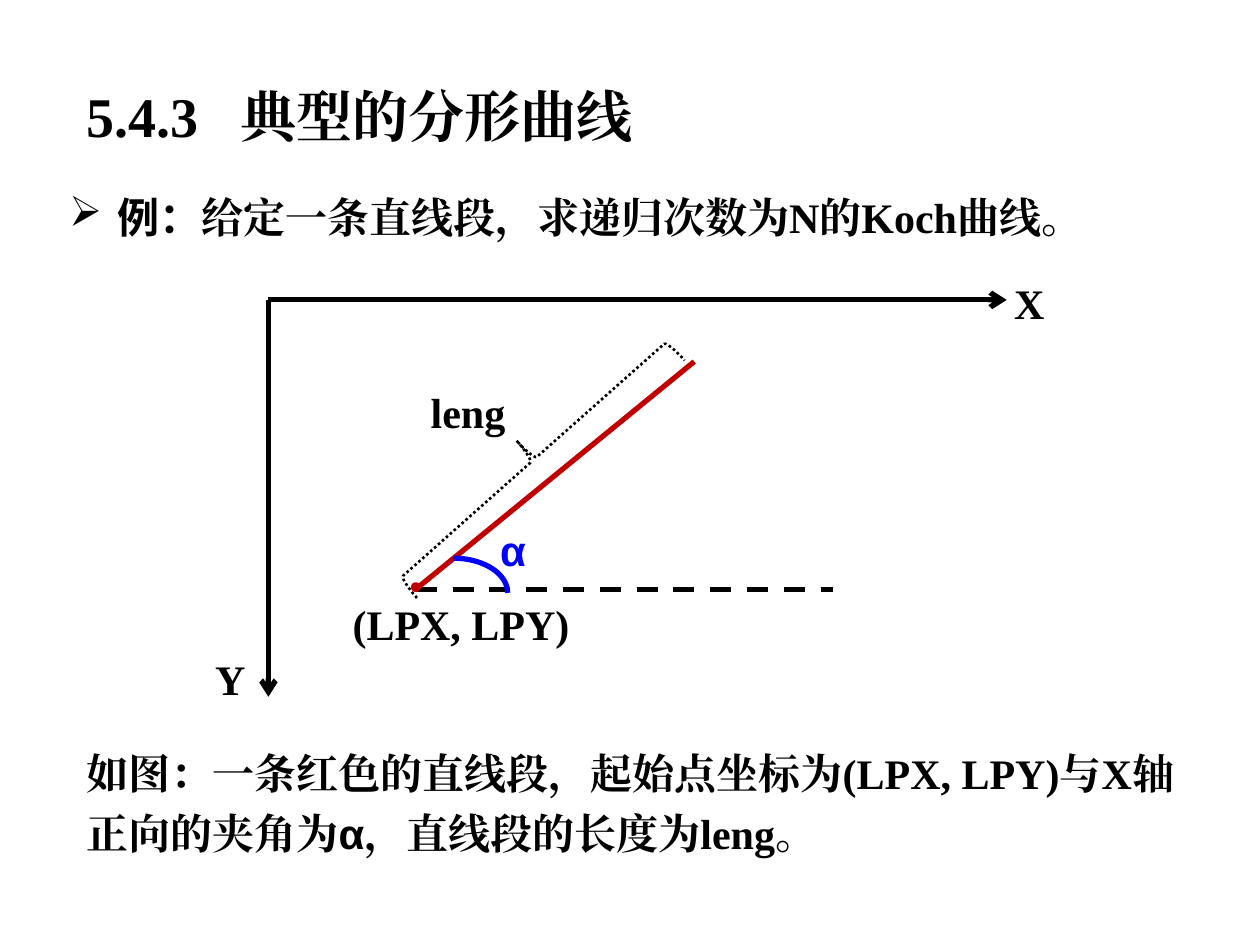
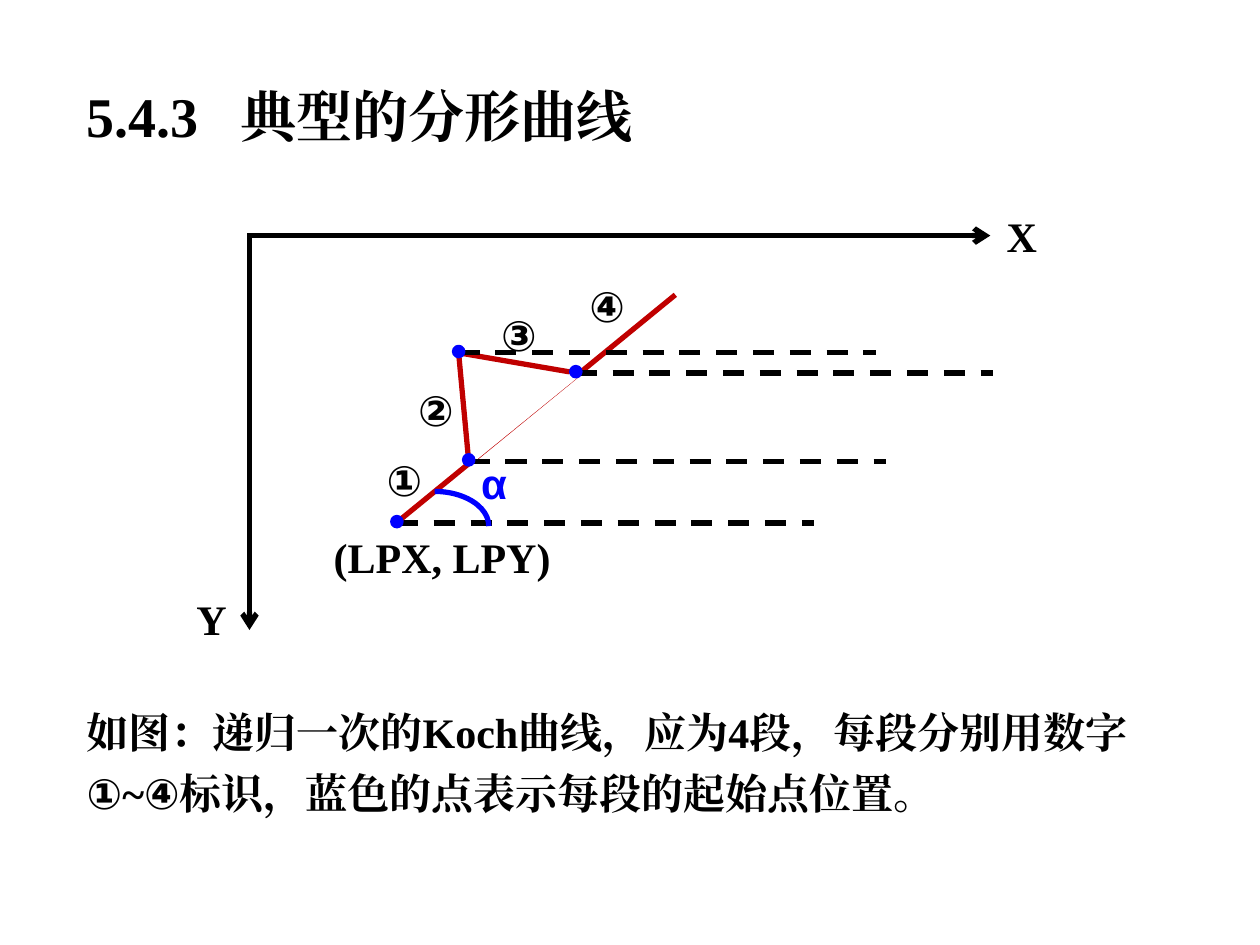
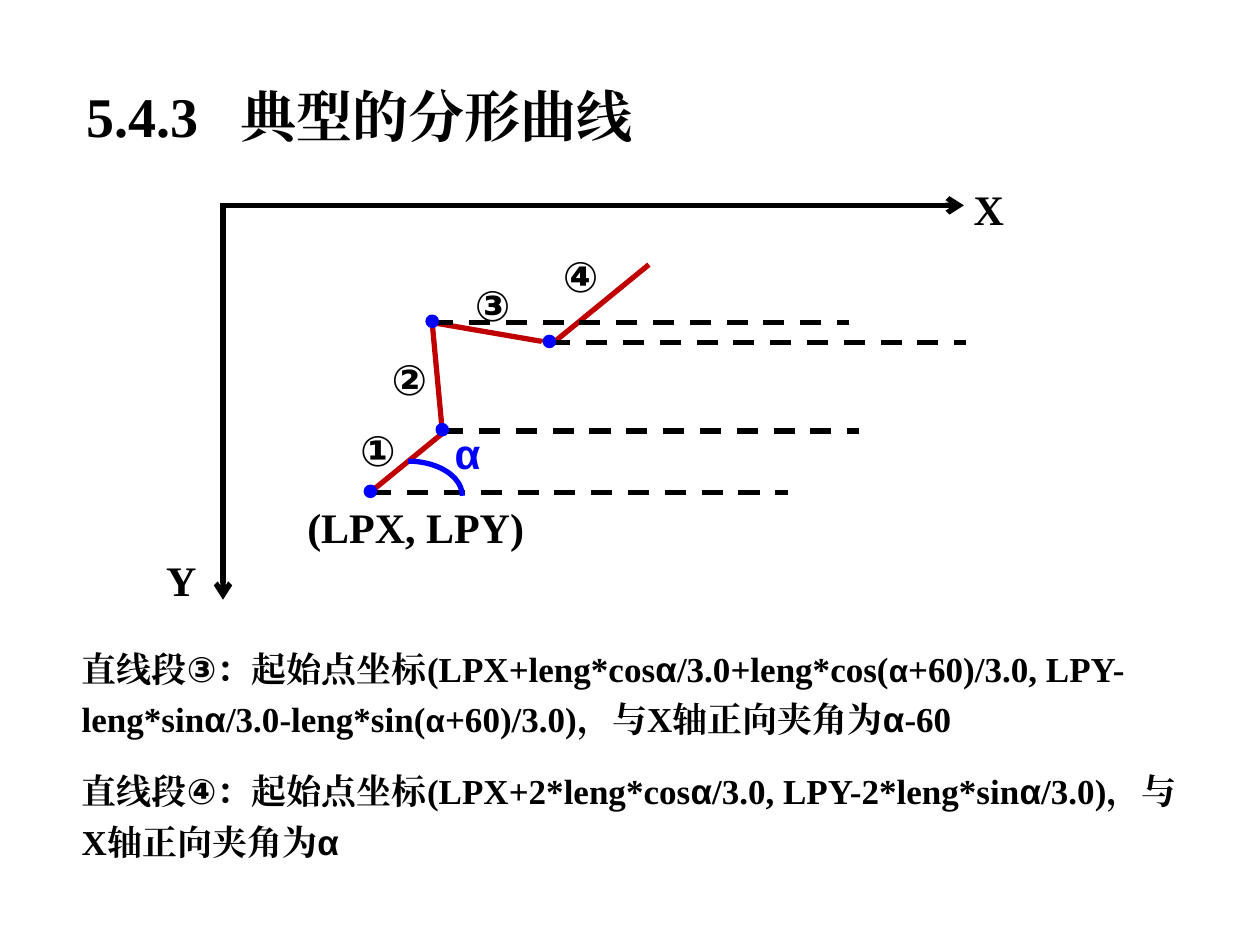
from dataclasses import dataclass

from lxml import etree
from pptx import Presentation
from pptx.dml.color import RGBColor
from pptx.enum.dml import MSO_LINE
from pptx.enum.shapes import MSO_CONNECTOR, MSO_SHAPE
from pptx.oxml.ns import qn
from pptx.util import Inches, Pt

STRAIGHT = MSO_CONNECTOR.STRAIGHT
ARC, BRACE, OVAL = MSO_SHAPE.ARC, MSO_SHAPE.LEFT_BRACE, MSO_SHAPE.OVAL
DASH, DOTTED = MSO_LINE.DASH, MSO_LINE.ROUND_DOT


@dataclass(frozen=True)
class Theme:
    ink: RGBColor = RGBColor(0, 0, 0)
    red: RGBColor = RGBColor(0xC0, 0, 0)
    blue: RGBColor = RGBColor(0, 0, 0xFF)
    paper: RGBColor = RGBColor(0xFF, 0xFF, 0xFF)
    serif: str = "Times New Roman"
    greek: str = "Arial"
    symbol: str = "DejaVu Sans"
    title_size: int = 32
    body_size: int = 24
    formula_size: int = 20
    small_size: int = 18
    stroke: float = 3


THEME = Theme()
FONT_OF = {"α": THEME.greek, **dict.fromkeys("①②③④", THEME.symbol)}

# Offsets in inches from the start point (LPX, LPY)
AXIS_CORNER = (-1.17, -2.3)
X_AXIS_LENGTH, Y_AXIS_LENGTH, GUIDE_LENGTH = 5.86, 3.15, 3.31
LINE_START, LINE_END = (0.02, -0.02), (2.21, -1.81)
KOCH_JOINTS = [(0, 0), (0.57, -0.49), (0.49, -1.35), (1.42, -1.19)]
SEGMENT_LABELS = {
    "①": (-0.18, -0.59),
    "②": (0.07, -1.15),
    "③": (0.73, -1.74),
    "④": (1.43, -1.97),
}


def shift(point, offset):
    return point[0] + offset[0], point[1] + offset[1]


def split_by_font(text):
    """Split text so that each Greek letter or circled number stands alone."""
    pieces = []
    for char in text:
        if pieces and char not in FONT_OF and pieces[-1] not in FONT_OF:
            pieces[-1] += char
        else:
            pieces.append(char)
    return pieces


def add_run(paragraph, text, size, color=THEME.ink, font=None):
    run = paragraph.add_run()
    run.text = text
    face = font or FONT_OF.get(text, THEME.serif)
    values = {"size": Pt(size), "bold": True, "name": face}
    for name, value in values.items():
        setattr(run.font, name, value)
    run.font.color.rgb = color
    east_asian = etree.SubElement(run.font._element, qn("a:ea"))
    east_asian.set("typeface", face)


def add_text_frame(slide, at, wrap=True):
    frame = slide.shapes.add_textbox(*map(Inches, at)).text_frame
    frame.word_wrap = wrap
    return frame


def add_title(slide):
    paragraph = add_text_frame(slide, (0.59, 0.6, 8.74, 0.64)).paragraphs[0]
    tabs = etree.SubElement(paragraph._p.get_or_add_pPr(), qn("a:tabLst"))
    etree.SubElement(tabs, qn("a:tab"), pos=str(Inches(1.22)), algn="l")
    add_run(paragraph, "5.4.3\t典型的分形曲线", THEME.title_size)


def add_task(slide):
    paragraph = add_text_frame(slide, (0.45, 1.47, 8.53, 0.5)).paragraphs[0]
    properties = paragraph._p.get_or_add_pPr()
    properties.set("marL", str(Inches(0.25)))
    properties.set("indent", str(-Inches(0.25)))
    etree.SubElement(properties, qn("a:buChar"), char="➢")
    add_run(paragraph, " 例：", THEME.body_size, font=THEME.symbol)
    add_run(paragraph, "给定一条直线段，求递归次数为N的Koch曲线。", THEME.body_size)


def add_explanation(slide, at, texts, size=THEME.body_size):
    """Write paragraphs, with a smaller α directly inside a bracket."""
    frame = add_text_frame(slide, at)
    for index, text in enumerate(texts):
        paragraph = frame.add_paragraph() if index else frame.paragraphs[0]
        paragraph.line_spacing = 1.2
        paragraph.space_before = Pt(12.5 if index else 0)
        previous = ""
        for piece in split_by_font(text):
            small = piece == "α" and previous.endswith("(")
            add_run(paragraph, piece, THEME.small_size if small else size)
            previous = piece


def add_label(slide, position, width, text, color=THEME.ink):
    frame = add_text_frame(slide, (*position, width, 0.5), wrap=False)
    add_run(frame.paragraphs[0], text, THEME.body_size, color)


def add_line(slide, start, end, color=THEME.ink, width=THEME.stroke,
             dash=None, arrow=False):
    connector = slide.shapes.add_connector(STRAIGHT, *map(Inches, (*start, *end)))
    connector.line.color.rgb = color
    for name, value in {"width": Pt(width), "dash_style": dash}.items():
        setattr(connector.line, name, value)
    if arrow:
        outline = connector.line._get_or_add_ln()
        etree.SubElement(outline, qn("a:tailEnd"), type="arrow")
    etree.SubElement(connector._element.spPr, qn("a:effectLst"))


def add_figure(slide, kind, at, color, width, filled=False):
    figure = slide.shapes.add_shape(kind, *map(Inches, at))
    figure.shadow.inherit = False
    if filled:
        figure.fill.solid()
        figure.fill.fore_color.rgb = color
    else:
        figure.fill.background()
    figure.line.color.rgb = color
    figure.line.width = Pt(width)
    return figure


def add_dot(slide, center, size, color):
    corner = shift(center, (-size / 2, -size / 2))
    add_figure(slide, OVAL, (*corner, size, size), color, 2, filled=True)


def add_guide(slide, start):
    add_line(slide, start, shift(start, (GUIDE_LENGTH, 0)), dash=DASH)


def add_axes(slide, start, x_label, y_label, x_gap=0):
    corner = shift(start, AXIS_CORNER)
    x_start = shift(corner, (x_gap, x_gap))
    add_line(slide, x_start, shift(x_start, (X_AXIS_LENGTH, 0)), arrow=True)
    add_line(slide, corner, shift(corner, (0, Y_AXIS_LENGTH)), arrow=True)
    add_label(slide, x_label, 0.44, "X")
    add_label(slide, y_label, 0.44, "Y")


def add_angled_line(slide, start):
    """Draw the red line, its start label and its angle to the X direction."""
    add_guide(slide, start)
    add_line(slide, shift(start, LINE_START), shift(start, LINE_END), THEME.red)
    add_label(slide, shift(start, (-0.6, 0.02)), 1.92, "(LPX, LPY)")
    arc_corner = shift(start, (-0.13, -0.25))
    add_figure(slide, ARC, (*arc_corner, 0.86, 0.55), THEME.blue, THEME.stroke)
    add_label(slide, shift(start, (0.57, -0.57)), 0.41, "α", THEME.blue)


def add_koch_curve(slide, start, gap_width):
    """Replace the middle third of the red line by two sides of a triangle."""
    add_angled_line(slide, start)
    joints = [shift(start, joint) for joint in KOCH_JOINTS]
    _, foot, peak, landing = joints
    add_line(slide, foot, peak, THEME.red)
    add_line(slide, peak, landing, THEME.red)
    add_line(slide, foot, shift(landing, (0.01, 0)), THEME.paper, gap_width)
    for number, offset in SEGMENT_LABELS.items():
        add_label(slide, shift(start, offset), 0.53, number)
    for joint in joints[1:]:
        add_guide(slide, joint)
    for joint in joints:
        add_dot(slide, shift(joint, (0, -0.01)), 0.08, THEME.blue)


def build_line_slide(slide):
    start = (3.3, 4.68)
    add_task(slide)
    add_angled_line(slide, start)
    add_dot(slide, shift(start, (0, -0.02)), 0.05, THEME.red)
    add_axes(slide, start, (7.95, 2.15), (1.61, 5.14))
    brace = add_figure(slide, BRACE, (4.03, 2.23, 0.41, 2.84), THEME.ink, 1.5)
    brace.rotation = 48.4
    brace.line.dash_style = DOTTED
    add_label(slide, (3.32, 3.02), 0.79, "leng")
    add_explanation(slide, (0.59, 5.8, 8.9, 1.06), [
        "如图：一条红色的直线段，起始点坐标为(LPX, LPY)与X轴正向的夹角为α，直线段的长度为leng。",
    ])


def build_recursion_slide(slide):
    start = (3.15, 4.15)
    add_koch_curve(slide, start, gap_width=4.5)
    add_axes(slide, start, (7.89, 1.62), (1.46, 4.66), x_gap=0.02)
    add_explanation(slide, (0.59, 5.48, 8.9, 1.06), [
        "如图：递归一次的Koch曲线，应为4段，每段分别用数字①~④标识，蓝色的点表示每段的起始点位置。",
    ])


def build_formula_slide(slide):
    start = (2.94, 3.91)
    add_koch_curve(slide, start, gap_width=6)
    add_axes(slide, start, (7.63, 1.41), (1.22, 4.35), x_gap=0.02)
    add_explanation(slide, (0.55, 5.02, 8.94, 1.88), [
        "直线段③：起始点坐标(LPX+leng*cosα/3.0+leng*cos(α+60)/3.0, "
        "LPY-leng*sinα/3.0-leng*sin(α+60)/3.0)，与X轴正向夹角为α-60",
        "直线段④：起始点坐标(LPX+2*leng*cosα/3.0, LPY-2*leng*sinα/3.0)，"
        "与X轴正向夹角为α",
    ], THEME.formula_size)


def main():
    deck = Presentation()
    deck.slide_width, deck.slide_height = Inches(10), Inches(7.5)
    blank = deck.slide_layouts[6]
    for build in (build_line_slide, build_recursion_slide, build_formula_slide):
        slide = deck.slides.add_slide(blank)
        add_title(slide)
        build(slide)
    deck.save("out.pptx")


if __name__ == "__main__":
    main()
